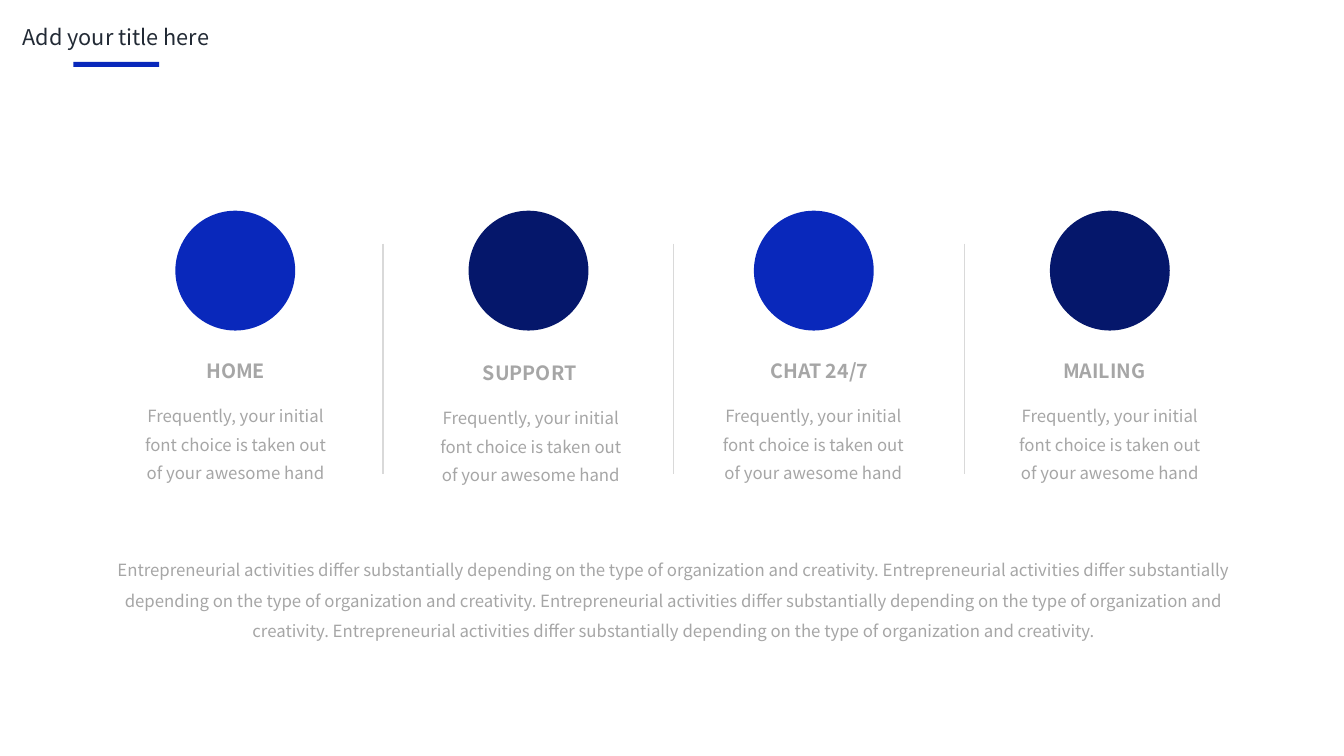
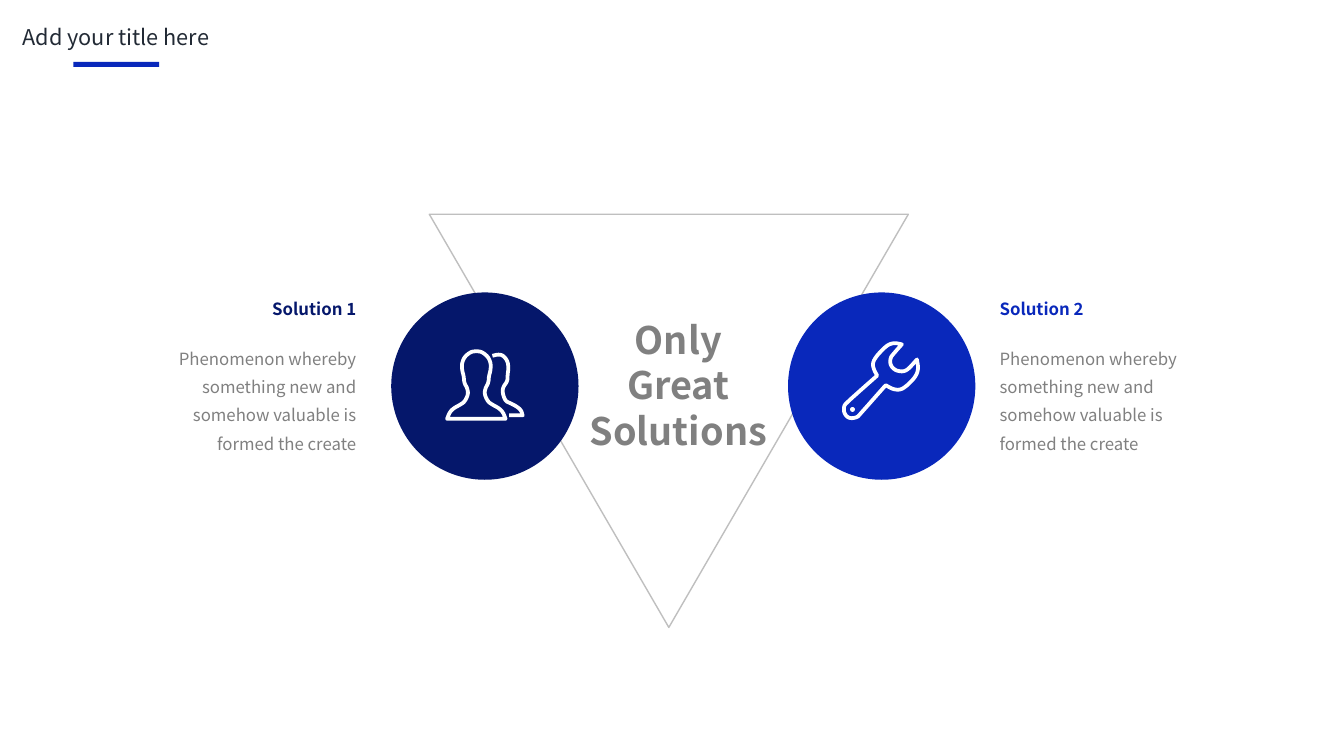
"""Build two business slides: four services and a pair of solutions."""
from dataclasses import dataclass
from typing import Optional

from lxml.etree import SubElement
from pptx import Presentation
from pptx.dml.color import RGBColor
from pptx.enum.shapes import MSO_CONNECTOR, MSO_SHAPE
from pptx.enum.text import MSO_ANCHOR, MSO_AUTO_SIZE, PP_ALIGN
from pptx.oxml.ns import qn
from pptx.shapes.autoshape import Shape
from pptx.slide import Slide
from pptx.util import Cm, Length, Pt

Point = tuple[float, float]
Box = tuple[float, float, float, float]


@dataclass(frozen=True)
class Theme:
    font: str = "Noto Sans CJK SC"
    blue: str = "0928BB"
    navy: str = "05176B"
    ink: str = "222A35"
    gray: str = "808080"
    pale: str = "A6A6A6"
    outline: str = "BFBFBF"
    divider: str = "D9D9D9"
    white: str = "FFFFFF"
    title_size: float = 15.5
    heading_size: float = 14
    body_size: float = 12
    center_size: float = 27
    body_leading: Length = Pt(20.2)
    rule_width: float = 1
    icon_width: float = 2.7


@dataclass(frozen=True)
class Service:
    name: str
    color: str
    circle_center: float
    heading_center: float
    body_center: float
    drop: float = 0


@dataclass(frozen=True)
class Stroke:
    points: list[Point]
    closed: bool = True


@dataclass(frozen=True)
class Solution:
    name: str
    color: str
    circle_left: float
    text_left: float
    align: PP_ALIGN
    icon_left: float
    icon_top: float
    icon: list[Stroke]


THEME = Theme()
ICON_UNIT = Cm(2.54) / 100
SERVICE_TEXT = "Frequently, your initial font choice is taken out of your awesome hand"
SOLUTION_TEXT = "Phenomenon whereby something new and somehow valuable is formed the create"
SUMMARY = ("Entrepreneurial activities differ substantially depending on "
           "the type of organization and creativity.")

SERVICES = [
    Service("HOME", THEME.blue, 5.93, 5.94, 5.94),
    Service("SUPPORT", THEME.navy, 13.32, 13.35, 13.38, 0.05),
    Service("CHAT 24/7", THEME.blue, 20.51, 20.65, 20.5),
    Service("MAILING", THEME.navy, 27.97, 27.83, 27.97),
]

HALF_PERSON = [
    (1.5, 69.5), (1.5, 69.5), (4, 63), (8, 59), (14.5, 55.5), (19, 52.5),
    (22.5, 45), (21.5, 39), (18.5, 34), (18, 27), (16.5, 22), (16, 15),
    (18.5, 8.5), (23, 4.5), (27, 2.5),
]
PEOPLE = [
    Stroke(HALF_PERSON + [(61 - x, y) for x, y in reversed(HALF_PERSON)]),
    Stroke([
        (46.5, 7), (52, 5.5), (57, 6.5), (61.5, 12), (62.5, 19), (61.5, 26),
        (61.5, 32), (57, 38), (56.5, 44), (59.5, 52), (64.5, 54), (71, 57.5),
        (75, 61), (76.5, 66), (76.5, 66), (63, 66),
    ], closed=False),
]
WRENCH = [
    Stroke([
        (4, 61.5), (1.5, 65), (1.5, 71), (5, 76), (10, 77), (15, 75.5),
        (16.5, 74), (43, 44), (43, 44), (50, 48), (57, 48.8), (63, 45.5),
        (72.5, 36), (75.5, 28), (74, 18.5), (74, 18.5), (66, 27.5), (62, 30),
        (58, 30.5), (52, 29), (47.5, 24), (47.5, 17), (51, 12.5), (59, 3.5),
        (59, 3.5), (52, 2), (46, 3.5), (41, 7.5), (33.5, 15.5), (30, 22),
        (31, 28), (34.5, 34.5), (34.5, 34.5),
    ]),
    Stroke([(9.5, 67.5), (10.5, 67.5), (10.5, 68.5), (9.5, 68.5)]),
]
SOLUTIONS = [
    Solution("Solution 1", THEME.navy, 9.86, 3.41, PP_ALIGN.RIGHT, 11.23, 8.79, PEOPLE),
    Solution("Solution 2", THEME.blue, 19.86, 24.94, PP_ALIGN.LEFT, 21.23, 8.59, WRENCH),
]


def rgb(color: str) -> RGBColor:
    """Turn a hex string into a colour."""
    return RGBColor.from_string(color)


def add_text(slide: Slide, text: str, box: Box, *, size: float, color: str,
             bold: bool = False, align: PP_ALIGN = PP_ALIGN.CENTER,
             leading: Optional[float | Length] = None, wrap: bool = True,
             anchor: MSO_ANCHOR = MSO_ANCHOR.TOP,
             insets: Point = (0.25, 0.13)) -> None:
    """Add a text box with one paragraph per line of text."""
    frame = slide.shapes.add_textbox(*map(Cm, box)).text_frame
    frame.word_wrap = wrap
    frame.auto_size = MSO_AUTO_SIZE.SHAPE_TO_FIT_TEXT
    frame.vertical_anchor = anchor
    frame.margin_left = frame.margin_right = Cm(insets[0])
    frame.margin_top = frame.margin_bottom = Cm(insets[1])
    for index, line in enumerate(text.split("\n")):
        para = frame.add_paragraph() if index else frame.paragraphs[0]
        para.alignment = align
        if leading is not None:
            para.line_spacing = leading
        span = para.add_run()
        span.text = line
        span.font.name = THEME.font
        span.font.size = Pt(size)
        span.font.bold = bold
        span.font.color.rgb = rgb(color)


def style_shape(shape: Shape, fill: Optional[str] = None,
                line: Optional[str] = None, width: float = 1) -> None:
    """Set the fill and outline of a shape and drop its shadow."""
    shape.shadow.inherit = False
    if fill:
        shape.fill.solid()
        shape.fill.fore_color.rgb = rgb(fill)
    else:
        shape.fill.background()
    if line:
        shape.line.color.rgb = rgb(line)
        shape.line.width = Pt(width)
    else:
        shape.line.fill.background()


def add_preset(slide: Slide, kind: MSO_SHAPE, box: Box,
               fill: Optional[str] = None, line: Optional[str] = None) -> Shape:
    """Add a styled preset shape."""
    shape = slide.shapes.add_shape(kind, *map(Cm, box))
    style_shape(shape, fill, line, THEME.rule_width)
    return shape


def add_divider(slide: Slide, x: float, top: float, bottom: float) -> None:
    """Add a thin vertical line."""
    line = slide.shapes.add_connector(
        MSO_CONNECTOR.STRAIGHT, Cm(x), Cm(top), Cm(x), Cm(bottom))
    line.line.color.rgb = rgb(THEME.divider)
    line.line.width = Pt(THEME.rule_width)
    SubElement(line._element.spPr, qn("a:effectLst"))


def smooth(stroke: Stroke, rounds: int = 2) -> list[Point]:
    """Round a stroke by cutting its corners."""
    points = stroke.points
    for _ in range(rounds):
        following = points[1:] + (points[:1] if stroke.closed else [])
        cut = [(a[0] + (b[0] - a[0]) * part, a[1] + (b[1] - a[1]) * part)
               for a, b in zip(points, following) for part in (0.25, 0.75)]
        points = cut if stroke.closed else [points[0], *cut, points[-1]]
    return points


def add_icon(slide: Slide, strokes: list[Stroke], left: float, top: float) -> None:
    """Draw an outline icon in white."""
    for stroke in strokes:
        points = [(x * ICON_UNIT, y * ICON_UNIT) for x, y in smooth(stroke)]
        builder = slide.shapes.build_freeform(*points[0])
        builder.add_line_segments(points[1:], close=stroke.closed)
        shape = builder.convert_to_shape(Cm(left), Cm(top))
        style_shape(shape, line=THEME.white, width=THEME.icon_width)


def add_page(deck: Presentation) -> Slide:
    """Add a blank page with the shared title and its bar."""
    page = deck.slides.add_slide(deck.slide_layouts[6])
    add_preset(page, MSO_SHAPE.RECTANGLE, (1.85, 1.56, 2.16, 0.13), THEME.blue)
    add_text(page, "Add your title here", (0.14, 0.32, 5.56, 1.04),
             size=THEME.title_size, color=THEME.ink, leading=1.2, wrap=False,
             insets=(0.3, 0.15))
    return page


def add_service(page: Slide, service: Service) -> None:
    """Draw one service column."""
    diameter, heading_width, body_width = 3.02, 4.4, 5.26
    add_preset(page, MSO_SHAPE.OVAL,
               (service.circle_center - diameter / 2, 5.31, diameter, diameter),
               service.color)
    add_text(page, service.name,
             (service.heading_center - heading_width / 2, 8.92 + service.drop,
              heading_width, 0.86),
             size=THEME.heading_size, color=THEME.pale, bold=True,
             anchor=MSO_ANCHOR.MIDDLE)
    add_text(page, SERVICE_TEXT,
             (service.body_center - body_width / 2, 9.88 + service.drop,
              body_width, 3.07),
             size=THEME.body_size, color=THEME.pale, leading=THEME.body_leading,
             insets=(0.3, 0.15))


def add_solution(page: Slide, solution: Solution) -> None:
    """Draw one solution with its circle, icon and text."""
    add_preset(page, MSO_SHAPE.OVAL, (solution.circle_left, 7.37, 4.72, 4.72),
               solution.color)
    add_icon(page, solution.icon, solution.icon_left, solution.icon_top)
    add_text(page, solution.name, (solution.text_left, 7.39, 5.82, 0.76),
             size=THEME.body_size, color=solution.color, bold=True,
             align=solution.align)
    add_text(page, SOLUTION_TEXT, (solution.text_left, 8.45, 5.82, 3.1),
             size=THEME.body_size, color=THEME.gray, align=solution.align,
             leading=THEME.body_leading)


def build_services(deck: Presentation) -> None:
    """Build the page of four services."""
    page = add_page(deck)
    for service in SERVICES:
        add_service(page, service)
    for index in range(len(SERVICES) - 1):
        add_divider(page, 9.65 + 7.33 * index, 6.14, 11.95)
    add_text(page, " ".join([SUMMARY] * 4), (2.38, 13.73, 29.21, 3.33),
             size=THEME.body_size, color=THEME.pale, leading=1.5)


def build_solutions(deck: Presentation) -> None:
    """Build the page of two solutions around a triangle."""
    page = add_page(deck)
    triangle = add_preset(page, MSO_SHAPE.ISOSCELES_TRIANGLE,
                          (10.82, 5.4, 12.07, 10.41), line=THEME.outline)
    triangle.rotation = 180
    for solution in SOLUTIONS:
        add_solution(page, solution)
    add_text(page, "Only\nGreat\nSolutions", (14.57, 7.85, 5.05, 3.71),
             size=THEME.center_size, color=THEME.gray, bold=True, wrap=False)


def main() -> None:
    """Build and save the deck."""
    deck = Presentation()
    deck.slide_width, deck.slide_height = Cm(33.87), Cm(19.05)
    build_services(deck)
    build_solutions(deck)
    deck.save("out.pptx")


if __name__ == "__main__":
    main()
